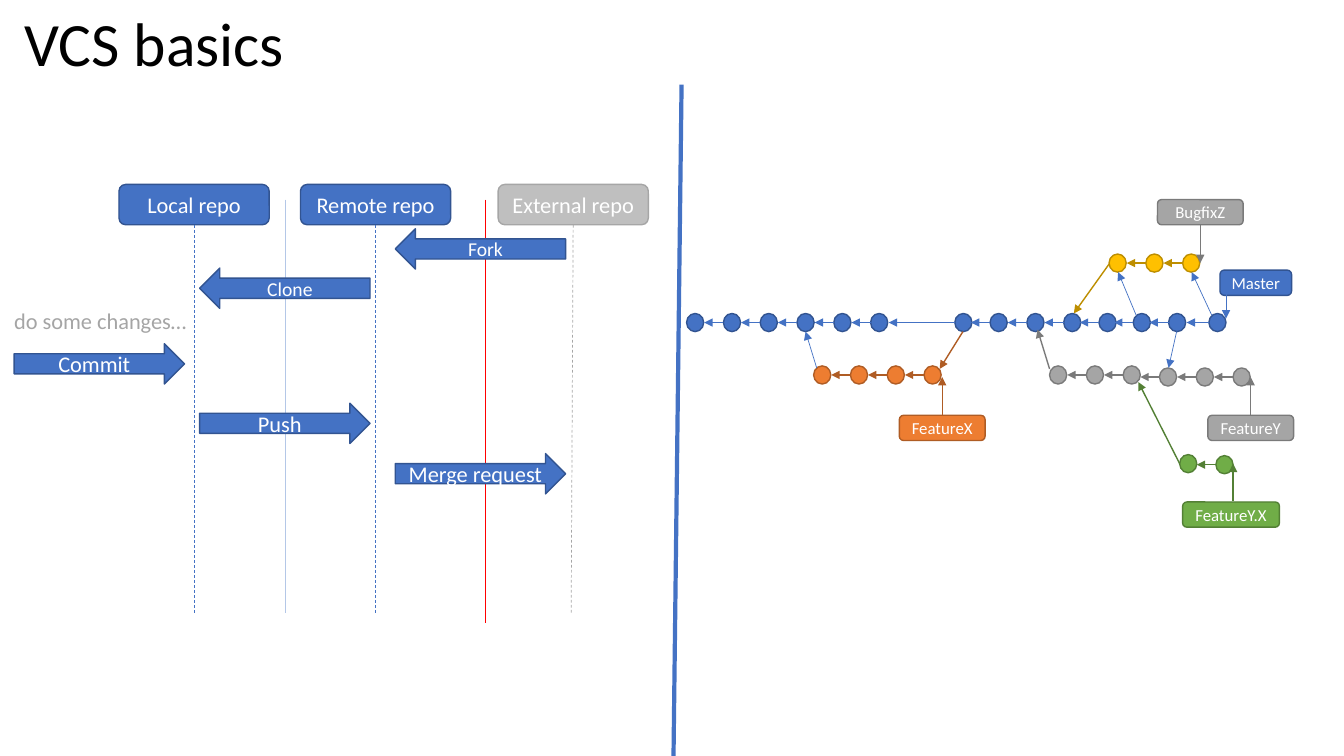
from lxml import etree
from pptx import Presentation
from pptx.dml.color import RGBColor
from pptx.enum.dml import MSO_LINE
from pptx.enum.shapes import MSO_CONNECTOR, MSO_SHAPE as Shape
from pptx.enum.text import MSO_ANCHOR as Anchor, PP_ALIGN as Align
from pptx.oxml.ns import qn
from pptx.util import Inches, Pt

COLORS = {
    "blue": "4472C4", "blue_edge": "325491", "pale_blue": "B4C7E7",
    "orange": "ED7D31", "orange_edge": "AF5C24",
    "gray": "A5A5A5", "gray_edge": "7A7A7A",
    "yellow": "FFC000", "yellow_edge": "BD8E00",
    "green": "70AD47", "green_edge": "538035",
    "silver": "BFBFBF", "silver_edge": "A6A6A6",
    "red": "FF0000", "white": "FFFFFF", "black": "000000",
}
TOP, BOTTOM = 0, 2  # connection sites
STEP = 0.365        # distance between neighbouring commits
DOT_WIDTH, DOT_HEIGHT = 0.17, 0.18


def rgb(name):
    return RGBColor.from_string(COLORS[name])


def write_text(shape, text, size=16, color="white", align=Align.CENTER,
               anchor=Anchor.MIDDLE, wrap=False):
    frame = shape.text_frame
    frame.word_wrap = wrap
    frame.vertical_anchor = anchor
    para = frame.paragraphs[0]
    para.alignment = align
    span = para.add_run()
    span.text = text
    span.font.name = "Calibri"
    span.font.size = Pt(size)
    span.font.color.rgb = rgb(color)


def add_box(page, kind, left, top, width, height, color, text="", size=16):
    box = page.shapes.add_shape(kind, Inches(left), Inches(top),
                                Inches(width), Inches(height))
    box.shadow.inherit = False
    box.fill.solid()
    box.fill.fore_color.rgb = rgb(color)
    box.line.color.rgb = rgb(color + "_edge")
    box.line.width = Pt(1)
    if text:
        write_text(box, text, size=size)
    return box


def add_line(page, start, end, color, width=0.5, dashed=False, arrow=False,
             source=None, site=BOTTOM):
    line = page.shapes.add_connector(MSO_CONNECTOR.STRAIGHT,
                                     *(Inches(value) for value in start + end))
    if source is not None:
        line.begin_connect(source, site)
    line.line.color.rgb = rgb(color)
    line.line.width = Pt(width)
    if dashed:
        line.line.dash_style = MSO_LINE.DASH
    if arrow:
        etree.SubElement(line.line._get_or_add_ln(), qn("a:tailEnd"), type="triangle")
    etree.SubElement(line._element.spPr, qn("a:effectLst"))


def add_title(page, text):
    title = page.shapes.title
    title.left, title.top = Inches(0.14), Inches(0)
    title.width, title.height = Inches(13.19), Inches(0.84)
    write_text(title, text, size=44, color="black", align=Align.LEFT, wrap=True)


def add_lane(page, text, left, color, line_color, drift=0):
    box = add_box(page, Shape.ROUNDED_RECTANGLE, left, 1.83, 1.49, 0.4, color, text)
    center = left + 1.49 / 2
    add_line(page, (center, 2.23), (center + drift, 6.08), line_color,
             dashed=True, source=box)


def commit_run(left, top, count):
    return [(left + STEP * number, top) for number in range(count)]


def add_branch(page, commits, color, link_color, link_width=1):
    """Draw the commits, each with an arrow to its parent."""
    for left, top in commits:
        add_box(page, Shape.FLOWCHART_CONNECTOR, left, top, DOT_WIDTH, DOT_HEIGHT, color)
    for (parent, _), (child, top) in zip(commits, commits[1:]):
        middle = top + DOT_HEIGHT / 2
        end = min(child - 0.19, parent + 0.18)
        add_line(page, (child, middle), (end, middle), link_color,
                 link_width, arrow=True)


def add_label(page, text, left, top, width, color):
    return add_box(page, Shape.ROUNDED_RECTANGLE, left, top, width, 0.25,
                   color, text, size=12)


def draw_repositories(page):
    # Borders between the repositories
    add_line(page, (2.83, 1.98), (2.83, 6.08), "pale_blue")
    add_line(page, (4.82, 1.98), (4.82, 6.18), "red", 0.75)

    # Repository lanes
    add_lane(page, "Local repo", 1.18, "blue", "blue")
    add_lane(page, "Remote repo", 2.98, "blue", "blue")
    add_lane(page, "External repo", 4.94, "silver", "silver_edge", drift=-0.02)

    # Operations
    for text, kind, left, top, size in (
            ("Fork", Shape.LEFT_ARROW, 3.92, 2.27, 14),
            ("Clone", Shape.LEFT_ARROW, 1.98, 2.66, 14),
            ("Commit", Shape.RIGHT_ARROW, 0.14, 3.41, 16),
            ("Push", Shape.RIGHT_ARROW, 1.98, 4, 16),
            ("Merge request", Shape.RIGHT_ARROW, 3.92, 4.5, 16)):
        add_box(page, kind, left, top, 1.69, 0.4, "blue", text, size)
    note = page.shapes.add_textbox(Inches(-0.15), Inches(2.94), Inches(2.29), Inches(0.48))
    write_text(note, "do some changes…", color="gray", wrap=True)


def draw_branches(page):
    # Commits
    main_top = 3.11
    main_commits = (commit_run(6.81, main_top, 6) + [(9.47, main_top)]
                    + commit_run(9.82, main_top, 3)
                    + [(left, main_top) for left in (10.9, 11.24, 11.59, 11.99)])
    add_branch(page, main_commits, "blue", "blue", 0.5)
    add_branch(page, commit_run(8.07, 3.63, 4), "orange", "orange_edge")
    add_branch(page, commit_run(10.41, 3.63, 3) + commit_run(11.5, 3.65, 3),
               "gray", "gray_edge")
    add_branch(page, commit_run(11, 2.52, 3), "yellow", "yellow_edge")
    add_branch(page, [(11.7, 4.51), (12.06, 4.52)], "green", "green_edge")

    # Branch points and merges
    for start, end, color, width in (
            ((8.1, 3.65), (7.99, 3.29), "blue", 0.5),
            ((9.55, 3.29), (9.32, 3.66), "orange_edge", 1),
            ((10.41, 3.66), (10.29, 3.27), "gray_edge", 1),
            ((11, 2.62), (10.65, 3.11), "yellow_edge", 1),
            ((11.7, 4.6), (11.29, 3.79), "green_edge", 1),
            ((11.27, 3.13), (11.09, 2.7), "blue", 0.5),
            ((12.02, 3.13), (11.82, 2.7), "blue", 0.5),
            ((11.67, 3.29), (11.59, 3.65), "blue", 0.5)):
        add_line(page, start, end, color, width, arrow=True)

    # Branch labels joined to their pointers
    for text, left, top, color, site, tip in (
            ("FeatureX", 8.92, 4.12, "orange", TOP, 3.74),
            ("FeatureY", 11.98, 4.12, "gray", TOP, 3.74),
            ("BugfixZ", 11.48, 1.98, "gray", BOTTOM, 2.61)):
        label = add_label(page, text, left, top, 0.85, color)
        center = left + 0.85 / 2
        add_line(page, (center, top), (center, tip), color + "_edge", 1,
                 arrow=True, source=label, site=site)

    # Branch labels with off-centre pointers
    add_label(page, "Master", 12.1, 2.68, 0.71, "blue")
    add_line(page, (12.16, 2.92), (12.16, 3.16), "blue", arrow=True)
    add_label(page, "FeatureY.X", 11.73, 4.98, 0.96, "green")
    add_line(page, (12.23, 4.97), (12.23, 4.6), "green_edge", 1, arrow=True)


def main():
    deck = Presentation()
    deck.slide_width, deck.slide_height = Inches(13.33), Inches(7.5)
    page = deck.slides.add_slide(deck.slide_layouts[5])
    add_title(page, "VCS basics")
    draw_branches(page)
    draw_repositories(page)
    add_line(page, (6.76, 0.84), (6.68, 7.5), "blue", 3)  # divider
    deck.save("out.pptx")


if __name__ == "__main__":
    main()
